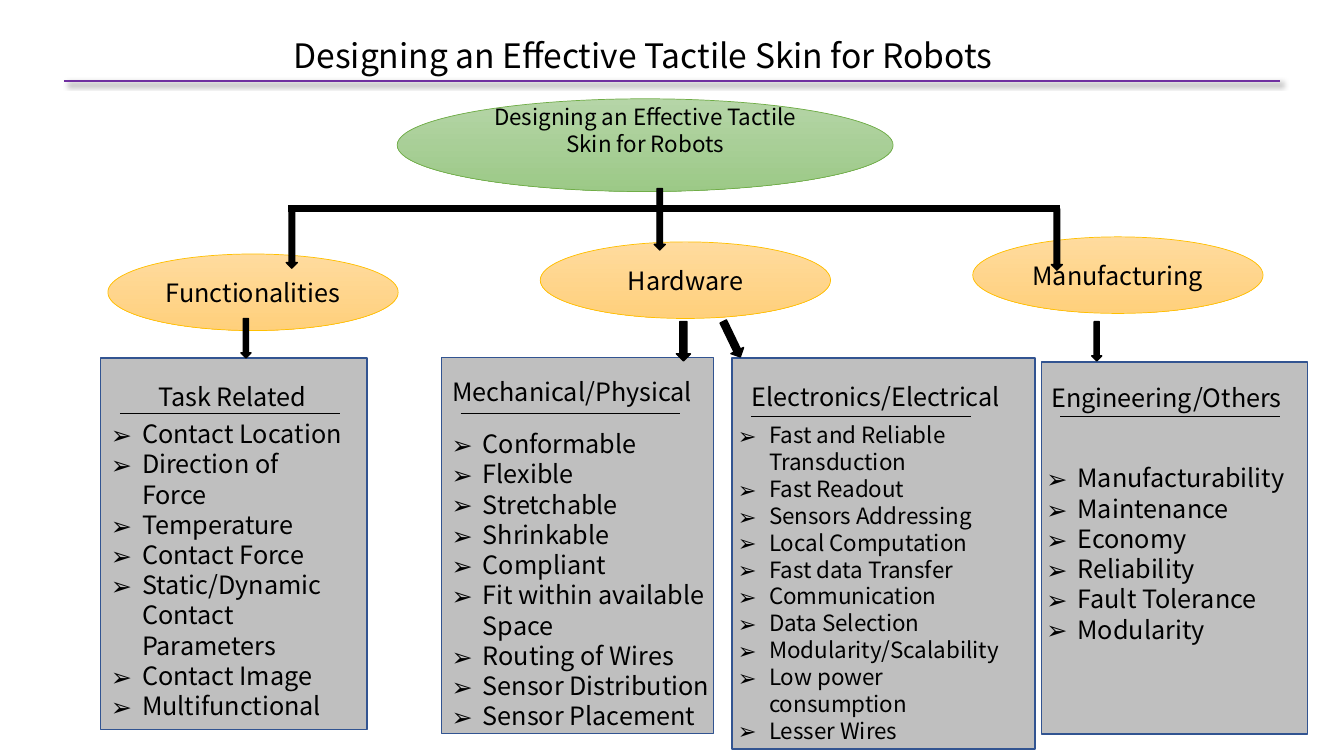
import pptx
import pptx.util
import pptx.dml.color
import pptx.enum.shapes
import pptx.enum.text
import pptx.oxml.ns
import lxml.etree

RGBColor = pptx.dml.color.RGBColor
Shape = pptx.enum.shapes.MSO_SHAPE
Anchor = pptx.enum.text.MSO_ANCHOR
Align = pptx.enum.text.PP_ALIGN
qn = pptx.oxml.ns.qn

BLACK = RGBColor(0x00, 0x00, 0x00)
PURPLE = RGBColor(0x70, 0x30, 0xA0)
GREY = RGBColor(0xBF, 0xBF, 0xBF)
NAVY = RGBColor(0x32, 0x54, 0x91)
GREEN = RGBColor(0x70, 0xAD, 0x47)
GREEN_SHADES = (RGBColor(0xB5, 0xD5, 0xA7), RGBColor(0x9C, 0xC9, 0x87))
GOLD = RGBColor(0xFF, 0xC0, 0x00)
GOLD_SHADES = (RGBColor(0xFF, 0xDB, 0x9E), RGBColor(0xFF, 0xD0, 0x7C))

FONT = "Noto Sans CJK SC"
COLUMNS, ROWS = 133.33, 75
TITLE = "Designing an Effective Tactile Skin for Robots"

# Ellipse label, left, top
BRANCHES = [("Functionalities", 10.7, 25.2), ("Hardware", 53.6, 24),
            ("Manufacturing", 96.5, 23.5)]

# Heading and its area; panel area; row of the rule; list area; text size; items
PANELS = [
    ("Task Related", (14.7, 37.3, 16.9, 4), (10, 35.5, 26.4, 36.9), 41,
     (10, 41, 25.6, 31.3), 18,
     ["Contact Location", "Direction of Force", "Temperature", "Contact Force",
      "Static/Dynamic Contact Parameters", "Contact Image", "Multifunctional"]),
    ("Mechanical/Physical", (43.9, 36.8, 26.4, 4), (43.8, 35.5, 27, 37.3), 41,
     (43.8, 42, 28.4, 34.3), 18,
     ["Conformable", "Flexible", "Stretchable", "Shrinkable", "Compliant",
      "Fit within available Space", "Routing of Wires", "Sensor Distribution",
      "Sensor Placement"]),
    ("Electronics/Electrical", (73.6, 37.3, 26.7, 4), (72.6, 35.5, 30.1, 38.8), 41.3,
     (72.2, 41.3, 28.8, 33.3), 16,
     ["Fast and Reliable Transduction", "Fast Readout", "Sensors Addressing",
      "Local Computation", "Fast data Transfer", "Communication", "Data Selection",
      "Modularity/Scalability", "Low power consumption", "Lesser Wires"]),
    ("Engineering/Others", (103.3, 37.4, 24, 4), (103.3, 35.9, 26.4, 36.9), 41.3,
     (102.8, 45.4, 26.5, 19.2), 18,
     ["Manufacturability", "Maintenance", "Economy", "Reliability",
      "Fault Tolerance", "Modularity"]),
]

# Left, top, width, height, rotation
ARROWS = [
    (64.9, 18.7, 1.1, 6.1, 0), (28.4, 20.5, 1.1, 6.1, 0), (104.3, 20.7, 1.1, 6.1, 0),
    (23.9, 31.6, 1, 3.9, 0), (108.3, 31.9, 1, 3.9, 0), (67.1, 31.9, 1.4, 3.9, 0),
    (71.9, 31.7, 1.4, 3.9, 334.3),
]


def cells(*counts):
    """Turn counts of grid cells, each a tenth of an inch, into lengths."""
    return [pptx.util.Inches(count / 10) for count in counts]


class SkinSlide:
    def __init__(self, deck):
        layout = deck.slide_layouts.get_by_name("Comparison")
        self.slide = deck.slides.add_slide(layout)
        self.shapes = self.slide.shapes
        self.bodies = [holder for holder in self.slide.placeholders
                       if holder.placeholder_format.idx > 0]

    def set_text(self, shape, lines, size, align=Align.LEFT, anchor=Anchor.TOP, wrap=True):
        frame = shape.text_frame
        frame.text = "\n".join(lines)
        frame.word_wrap = wrap
        frame.auto_size = pptx.enum.text.MSO_AUTO_SIZE.NONE
        frame.vertical_anchor = anchor
        for para in frame.paragraphs:
            para.alignment = align
            para.space_before = pptx.util.Pt(0)
            for span in para.runs:
                span.font.name = FONT
                span.font.size = pptx.util.Pt(size)
                span.font.bold = False
                span.font.color.rgb = BLACK
        return frame

    def place(self, holder, area):
        """Move a placeholder to an area and bring it to the front."""
        holder.left, holder.top, holder.width, holder.height = cells(*area)
        self.shapes._spTree.append(holder._element)

    def title(self, text, area):
        self.place(self.shapes.title, area)
        self.set_text(self.shapes.title, [text], 24)

    def bullets(self, items, area, size):
        holder = self.bodies.pop(0)
        self.place(holder, area)
        frame = self.set_text(holder, items, size)
        indent = pptx.util.Inches(0.31)
        for para in frame.paragraphs:
            properties = para._p.get_or_add_pPr()
            properties.set("marL", str(indent))
            properties.set("indent", str(-indent))
            lxml.etree.SubElement(properties, qn("a:buFont"), typeface=FONT)
            lxml.etree.SubElement(properties, qn("a:buChar"), char="➢")

    def heading(self, text, area):
        box = self.shapes.add_textbox(*cells(*area))
        self.set_text(box, [text], 18, wrap=False)

    def shape(self, kind, area, fill, line, weight):
        """Add a preset shape; a pair of fill colours makes a vertical gradient."""
        shape = self.shapes.add_shape(kind, *cells(*area))
        shape.shadow.inherit = False
        if isinstance(fill, RGBColor):
            shape.fill.solid()
            shape.fill.fore_color.rgb = fill
        else:
            shape.fill.gradient()
            shape.fill.gradient_angle = 270
            for stop, color in zip(shape.fill.gradient_stops, fill):
                stop.color.rgb = color
        shape.line.color.rgb = line
        shape.line.width = pptx.util.Pt(weight)
        return shape

    def ellipse(self, lines, area, fill, line, size):
        shape = self.shape(Shape.OVAL, area, fill, line, 0.5)
        return self.set_text(shape, lines, size, Align.CENTER, Anchor.MIDDLE)

    def arrow(self, left, top, width, height, rotation):
        shape = self.shape(Shape.DOWN_ARROW, (left, top, width, height), BLACK, BLACK, 1)
        shape.rotation = rotation

    def rule(self, left, row, width, color, weight, shadow=False):
        line = self.shapes.add_connector(pptx.enum.shapes.MSO_CONNECTOR.STRAIGHT,
                                         *cells(left, row, left + width, row))
        line.line.color.rgb = color
        line.line.width = pptx.util.Pt(weight)
        effects = lxml.etree.SubElement(line._element.spPr, qn("a:effectLst"))
        if shadow:
            outer = lxml.etree.SubElement(
                effects, qn("a:outerShdw"), blurRad=str(pptx.util.Pt(4)),
                dist=str(pptx.util.Pt(3)), dir="2700000", algn="tl", rotWithShape="0")
            tint = lxml.etree.SubElement(outer, qn("a:srgbClr"), val=str(BLACK))
            lxml.etree.SubElement(tint, qn("a:alpha"), val="40000")


def main():
    deck = pptx.Presentation()
    deck.slide_width, deck.slide_height = cells(COLUMNS, ROWS)
    page = SkinSlide(deck)

    page.rule(6.4, 8, 120.6, PURPLE, 1.5, shadow=True)
    page.title(TITLE, (28.1, 3, 77.1, 5))

    root = page.ellipse(["Designing an Effective Tactile", "Skin for Robots"],
                        (39.4, 9.8, 49.2, 9.2), GREEN_SHADES, GREEN, 16)
    root.margin_bottom = pptx.util.Inches(0.35)
    for label, left, top in BRANCHES:
        page.ellipse([label], (left, top, 28.8, 7.6), GOLD_SHADES, GOLD, 18)

    for heading, heading_area, panel_area, rule_row, list_area, size, items in PANELS:
        page.shape(Shape.RECTANGLE, panel_area, GREY, NAVY, 1)
        page.rule(panel_area[0] + 1.9, rule_row, 21.8, BLACK, 0.5)
        page.heading(heading, heading_area)
        page.bullets(items, list_area, size)

    page.rule(28.6, 20.7, 76.6, BLACK, 4.5)
    for arrow in ARROWS:
        page.arrow(*arrow)

    deck.save("out.pptx")


if __name__ == "__main__":
    main()
